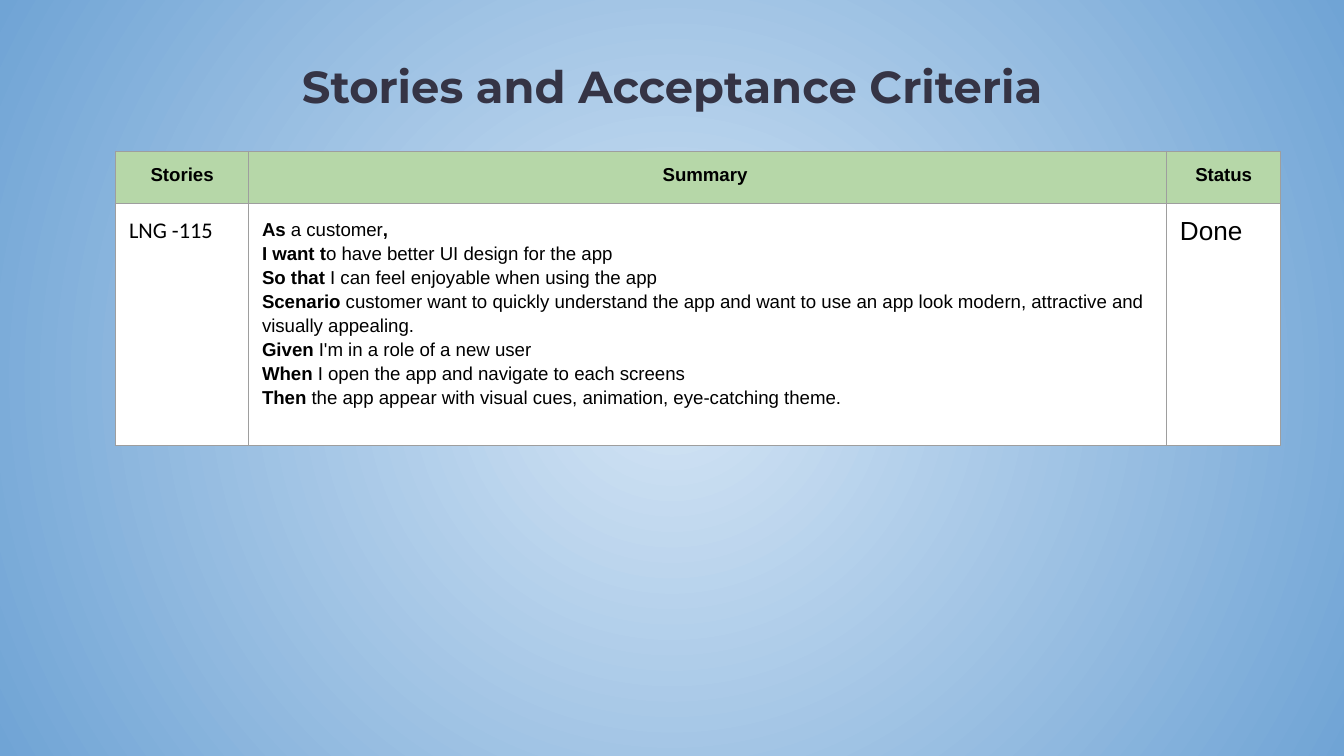
from lxml import etree
from pptx import Presentation
from pptx.dml.color import RGBColor
from pptx.enum.text import MSO_ANCHOR, MSO_AUTO_SIZE, PP_ALIGN
from pptx.oxml.ns import qn
from pptx.util import Inches, Pt

LEFT, CENTER = PP_ALIGN.LEFT, PP_ALIGN.CENTER
TOP = MSO_ANCHOR.TOP
NO_FIT = MSO_AUTO_SIZE.NONE

GLOW = RGBColor(0xD4, 0xE5, 0xF5)
SKY = RGBColor(0x70, 0xA4, 0xD5)
INK = RGBColor(0x35, 0x34, 0x45)
BLACK = RGBColor(0, 0, 0)
WHITE = RGBColor(255, 255, 255)
GREEN = RGBColor(0xB6, 0xD7, 0xA8)
GRAY = RGBColor(0x9E, 0x9E, 0x9E)

WIDTH = Inches(10)
HEIGHT = WIDTH * 9 // 16
PAD = Inches(0.1)
COLS = (0.99, 6.83, 0.85)
ROWS = (0.39, 1.8)

HEADS = ("Stories", "Summary ", "Status")
# Each line is a list of runs, bold and plain in turn.
STORY = (
    ("As ", "a customer", ","),
    ("I want t", "o have better UI design for the app"),
    ("So that ", "I can feel enjoyable when using the app"),
    ("Scenario ", "customer want to quickly understand the app and want to use "
     "an app look modern, attractive and visually appealing."),
    ("Given", " I'm in a role of a new user"),
    ("When ", "I open the app and navigate to each screens"),
    ("Then", " the app appear with visual cues, animation, eye-catching theme."),
)


class Deck:
    """Holds the style and the current slide; places are shares of its size."""

    def __init__(self):
        self.prs = Presentation()
        self.prs.slide_width, self.prs.slide_height = WIDTH, HEIGHT
        self.slide = self.prs.slides.add_slide(self.prs.slide_layouts[5])

    def place(self, x, y, w, h):
        return (round(x * WIDTH), round(y * HEIGHT),
                round(w * WIDTH), round(h * HEIGHT))

    def backdrop(self, inner, outer):
        """Fill the slide with a round gradient."""
        fill = self.slide.background.fill
        fill.gradient()
        for stop, color in zip(fill.gradient_stops, (inner, outer)):
            stop.color.rgb = color
        line = next(self.slide.element.iter(qn("a:lin")))
        grad = line.getparent()
        grad.remove(line)
        ring = etree.SubElement(grad, qn("a:path"), path="circle")
        etree.SubElement(ring, qn("a:fillToRect"),
                         dict.fromkeys("ltrb", "50000"))

    def font(self, para, size, face="Arial", color=BLACK, bold=None):
        font = para.font
        font.size, font.name, font.bold = Pt(size), face, bold
        font.color.rgb = color

    def title(self, text, x, y, w, h):
        shape = self.slide.shapes.title
        shape.left, shape.top, shape.width, shape.height = self.place(x, y, w, h)
        frame = shape.text_frame
        frame.text = text
        frame.word_wrap, frame.auto_size = True, NO_FIT
        frame.vertical_anchor = TOP
        frame.margin_left = frame.margin_right = PAD
        frame.margin_top = frame.margin_bottom = PAD
        para = frame.paragraphs[0]
        para.alignment = CENTER
        self.font(para, 24, "Montserrat", INK, True)

    def table(self, x, y, cols, rows):
        wide, high = Inches(sum(cols)), Inches(sum(rows))
        spot = self.place(x, y, wide / WIDTH, high / HEIGHT)
        grid = self.slide.shapes.add_table(len(rows), len(cols), *spot).table
        grid.first_row = grid.horz_banding = False
        for col, width in zip(grid.columns, cols):
            col.width = Inches(width)
        for row, height in zip(grid.rows, rows):
            row.height = Inches(height)
        return grid

    def cell(self, cell, lines, fill, size, face="Arial", bold=False,
             align=LEFT, space=None):
        """Fill a cell; a line of several runs is bold and plain in turn."""
        cell.margin_left = cell.margin_right = PAD
        cell.margin_top = cell.margin_bottom = PAD
        self.edge(cell)
        cell.fill.solid()
        cell.fill.fore_color.rgb = fill
        frame = cell.text_frame
        for i, line in enumerate(lines):
            para = frame.add_paragraph() if i else frame.paragraphs[0]
            para.alignment, para.line_spacing = align, space
            self.font(para, size, face, bold=bold)
            for j, text in enumerate(line):
                run = para.add_run()
                run.text = text
                if len(line) > 1:
                    run.font.bold = j % 2 == 0

    def edge(self, cell):
        props = cell._tc.get_or_add_tcPr()
        for side in "LRTB":
            line = etree.SubElement(props, qn(f"a:ln{side}"), w=str(Pt(0.75)))
            fill = etree.SubElement(line, qn("a:solidFill"))
            etree.SubElement(fill, qn("a:srgbClr"), val=str(GRAY))


def main():
    deck = Deck()
    deck.backdrop(GLOW, SKY)
    deck.title("Stories and Acceptance Criteria", 0.1, 0.06, 0.8, 0.18)
    grid = deck.table(0.086, 0.2, COLS, ROWS)
    for i, head in enumerate(HEADS):
        deck.cell(grid.cell(0, i), [[head]], GREEN, 10, bold=True, align=CENTER)
    deck.cell(grid.cell(1, 0), [["LNG -115"]], WHITE, 12, "Calibri")
    deck.cell(grid.cell(1, 1), STORY, WHITE, 10, space=1.15)
    deck.cell(grid.cell(1, 2), [["Done"]], WHITE, 14)
    deck.prs.save("out.pptx")


if __name__ == "__main__":
    main()
